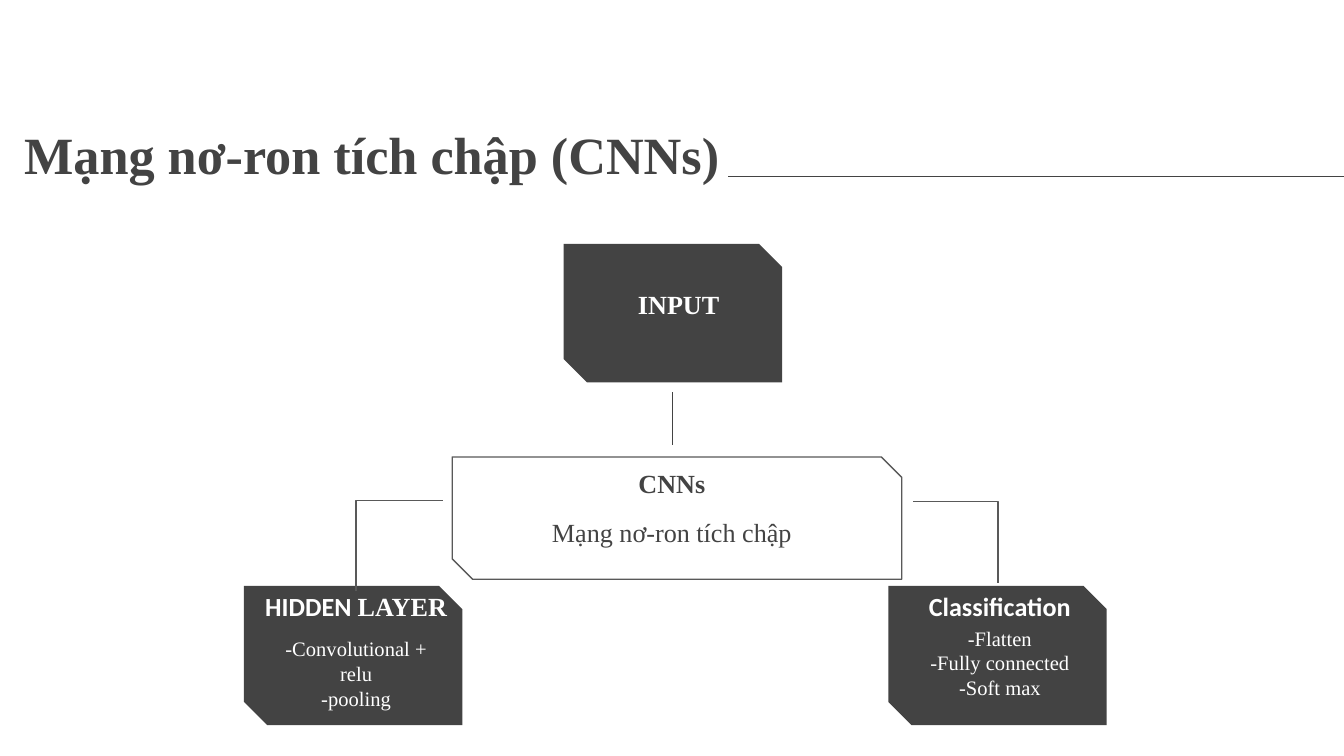
from lxml.etree import SubElement
from pptx import Presentation
from pptx.dml.color import RGBColor
from pptx.enum.shapes import MSO_CONNECTOR, MSO_SHAPE
from pptx.enum.text import MSO_ANCHOR, PP_ALIGN
from pptx.oxml.ns import qn
from pptx.util import Emu, Pt

PX = 4572
COLORS = {"dark": "434343", "outline": "595959", "white": "FFFFFF"}
SERIF = "Times New Roman"
SANS = "Calibri"

presentation = Presentation()
presentation.slide_width = Emu(2000 * PX)
presentation.slide_height = Emu(1125 * PX)
slide = presentation.slides.add_slide(presentation.slide_layouts[6])


def add_text(box, paragraphs, size, color, bold=False, anchor=MSO_ANCHOR.TOP):
    shape = slide.shapes.add_textbox(*[Emu(value * PX) for value in box])
    frame = shape.text_frame
    frame.word_wrap = True
    frame.vertical_anchor = anchor
    frame.margin_left = frame.margin_right = Emu(20 * PX)
    frame.margin_top = frame.margin_bottom = Emu(20 * PX)
    for index, runs in enumerate(paragraphs):
        paragraph = frame.add_paragraph() if index else frame.paragraphs[0]
        paragraph.alignment = PP_ALIGN.CENTER
        for text, font_name in runs:
            run = paragraph.add_run()
            run.text = text
            run.font.name = font_name
            run.font.size = Pt(size)
            run.font.bold = bold
            run.font.color.rgb = RGBColor.from_string(COLORS[color])


def add_line(kind, points, color):
    connector = slide.shapes.add_connector(kind, *[Emu(value * PX) for value in points])
    connector.line.color.rgb = RGBColor.from_string(COLORS[color])
    connector.line.width = Pt(0.75)
    properties = connector._element.spPr
    SubElement(properties, qn("a:effectLst"))
    if kind == MSO_CONNECTOR.ELBOW:
        geometry = properties.find(qn("a:prstGeom"))
        guides = geometry.find(qn("a:avLst"))
        if guides is None:
            guides = SubElement(geometry, qn("a:avLst"))
        SubElement(guides, qn("a:gd"), name="adj1", fmla="val 100000")


boxes = [
    (363, 872, 325, 207, True),
    (1322, 872, 325, 207, True),
    (673, 680, 669, 182, False),
    (839, 363, 325, 206, True),
]
for left, top, width, height, filled in boxes:
    shape = slide.shapes.add_shape(
        MSO_SHAPE.SNIP_2_DIAG_RECTANGLE,
        Emu(left * PX), Emu(top * PX), Emu(width * PX), Emu(height * PX),
    )
    shape.shadow.inherit = False
    if filled:
        shape.fill.solid()
        shape.fill.fore_color.rgb = RGBColor.from_string(COLORS["dark"])
        shape.line.fill.background()
    else:
        shape.fill.background()
        shape.line.color.rgb = RGBColor.from_string(COLORS["outline"])
        shape.line.width = Pt(0.75)

lines = [
    (MSO_CONNECTOR.STRAIGHT, (1084, 263, 2000, 263), "dark"),
    (MSO_CONNECTOR.STRAIGHT, (1001, 584, 1001, 662), "dark"),
    (MSO_CONNECTOR.ELBOW, (659, 745, 530, 879), "outline"),
    (MSO_CONNECTOR.ELBOW, (1359, 746, 1485, 868), "outline"),
]
for kind, points, color in lines:
    add_line(kind, points, color)

add_text((-17, 162, 1140, 128), [[("Mạng nơ-ron tích chập (CNNs)", SERIF)]], 28, "dark", True)

headings = [
    (854, 410, [("INPUT", SERIF)], "white"),
    (844, 676, [("CNNs", SERIF)], "dark"),
    (374, 860, [("HIDDEN ", SANS), ("LAYER", SERIF)], "white"),
    (1332, 860, [("Classification", SANS)], "white"),
]
for left, top, runs, color in headings:
    add_text((left, top, 312, 86), [runs], 14, color, True, MSO_ANCHOR.BOTTOM)

add_text((697, 749, 606, 180), [[("Mạng nơ-ron tích chập", SERIF)]], 14, "dark")

details = [
    (389, 927, ["-Convolutional + relu", "-pooling"]),
    (1347, 911, ["-Flatten", "-Fully connected", "-Soft max"]),
]
for left, top, texts in details:
    add_text((left, top, 282, 136), [[(text, SERIF)] for text in texts], 11, "white")

presentation.save("out.pptx")
